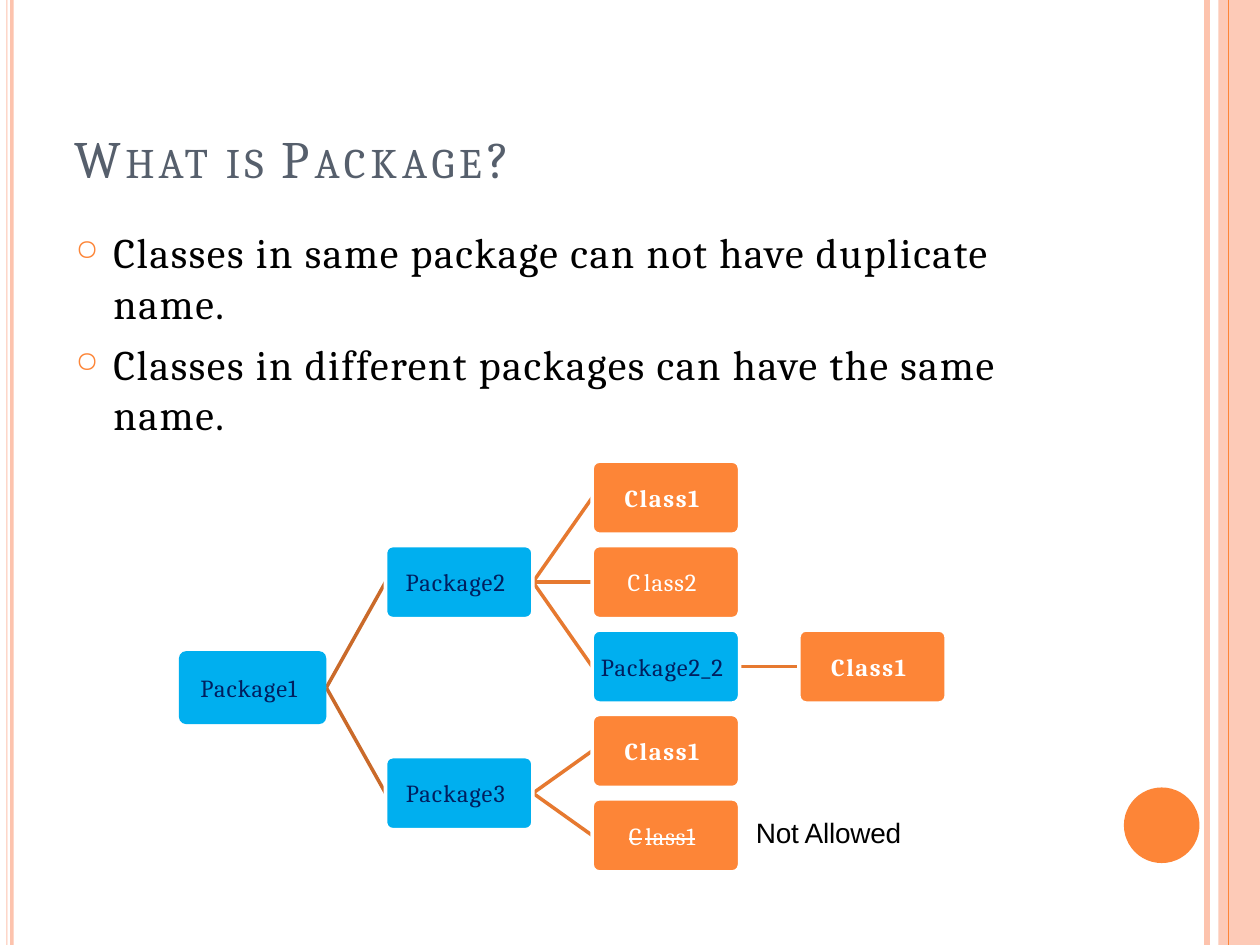
import pptx
import pptx.util
import pptx.dml.color
import pptx.enum.shapes
import pptx.enum.text
import pptx.oxml
import pptx.oxml.ns
import lxml.etree

Inches = pptx.util.Inches
Pt = pptx.util.Pt
rgb = pptx.dml.color.RGBColor.from_string
qn = pptx.oxml.ns.qn
MSO = pptx.enum.shapes.MSO_SHAPE
ANCHOR = pptx.enum.text.MSO_ANCHOR
ALIGN = pptx.enum.text.PP_ALIGN

ORANGE, PEACH, BLUE, NAVY, WHITE = "FD8537", "FDC3AD", "00AFEF", "001F5F", "FFFFFF"

prs = pptx.Presentation()
prs.slide_width, prs.slide_height = Inches(10), Inches(7.5)
s = prs.slides.add_slide(prs.slide_layouts[5])


def add_shape(kind, x, y, w, h, fill):
    sp = s.shapes.add_shape(kind, Inches(x), Inches(y), Inches(w), Inches(h))
    sp.shadow.inherit = False
    sp.fill.solid()
    sp.fill.fore_color.rgb = rgb(fill)
    sp.line.fill.background()
    return sp


def add_runs(p, runs, color, font="Cambria", bold=False, strike=False):
    for text, size, spacing in runs:
        r = p.add_run()
        r.text = text
        r.font.size, r.font.name, r.font.bold = Pt(size), font, bold
        r.font.color.rgb = rgb(color)
        rPr = r._r.get_or_add_rPr()
        rPr.set("spc", str(round(spacing * 100)))
        if strike:
            rPr.set("strike", "sngStrike")


for x, w in [(0.05, 0.01), (0.08, 0.03), (9.67, 0.33)]:
    sp = add_shape(MSO.RECTANGLE, x, 0, w, 7.5, PEACH)
clr = sp.fill._xPr.find(qn("a:solidFill"))[0]
lxml.etree.SubElement(clr, qn("a:alpha")).set("val", "87000")
add_shape(MSO.OVAL, 8.92, 6.25, 0.6, 0.6, ORANGE)

title = s.shapes.title
title.left, title.top, title.width, title.height = Inches(0.59), Inches(0.98), Inches(3.7), Inches(0.53)
body = s.shapes.add_textbox(Inches(0.59), Inches(1.78), Inches(7.75), Inches(1.75))
note = s.shapes.add_textbox(Inches(6), Inches(6.45), Inches(1.3), Inches(0.29))
for sp in (title, body, note):
    tf = sp.text_frame
    tf.margin_left = tf.margin_right = tf.margin_bottom = 0
    tf.margin_top = Inches(0.02)
    tf.word_wrap = True
    tf.auto_size = pptx.enum.text.MSO_AUTO_SIZE.NONE
    tf.vertical_anchor = ANCHOR.TOP
    tf.paragraphs[0].alignment = ALIGN.LEFT

add_runs(title.text_frame.paragraphs[0],
         [("W", 30, 2.4), ("HAT ", 24, 2.4), ("IS ", 24, 2.5),
          ("P", 30, 2.9), ("ACKAGE", 24, 2.9), ("?", 30, 2.9)], "565F6C")
add_runs(note.text_frame.paragraphs[0], [("Not Allowed", 16, -0.1)], "000000", "Arial")

tf = body.text_frame
bullets = ["Classes in same package can not have duplicate name.",
           "Classes in different packages can have the same name."]
for i, text in enumerate(bullets):
    p = tf.add_paragraph() if i else tf.paragraphs[0]
    pPr = p._p.get_or_add_pPr()
    pPr.set("marL", str(Inches(0.31)))
    pPr.set("indent", str(-Inches(0.3)))
    buClr = lxml.etree.SubElement(pPr, qn("a:buClr"))
    lxml.etree.SubElement(buClr, qn("a:srgbClr")).set("val", ORANGE)
    lxml.etree.SubElement(pPr, qn("a:buSzPct")).set("val", "69000")
    lxml.etree.SubElement(pPr, qn("a:buChar")).set("char", "○")
    p.space_before = Pt(6 * i)
    add_runs(p, [(text, 24, 0.9)], "000000")

package = {"fill": BLUE, "color": NAVY}
bold_class = {"fill": ORANGE, "color": WHITE, "bold": True}
plain_class = {"fill": ORANGE, "color": WHITE}
struck_class = {"fill": ORANGE, "color": WHITE, "strike": True}
nodes = [
    ("Package1", 0, 2.25, None, package),
    ("Package2", 1, 1, 0, package),
    ("Package3", 1, 3.5, 0, package),
    ("Class1", 2, 0, 1, bold_class),
    ("Class2", 2, 1, 1, plain_class),
    ("Package2_2", 2, 2, 1, package),
    ("Class1", 2, 3, 2, bold_class),
    ("Class1", 2, 4, 2, struck_class),
    ("Class1", 3, 2, 5, bold_class),
]
NODE_W, NODE_H = 1.17, 0.58
spots = [(1.42 + 1.64 * col, 3.66 + 0.67 * row) for _, col, row, _, _ in nodes]

lines = [(9.58, 0, 9.58, 7.5, PEACH, 3), (9.75, 0, 9.75, 7.5, ORANGE, 0.75)]
for (_, col, _, parent, _), (x, y) in zip(nodes, spots):
    if parent is not None:
        px, py = spots[parent]
        color = "CA6A2A" if col == 1 else "E67930"
        lines.append((px + NODE_W, py + NODE_H / 2, x, y + NODE_H / 2, color, 2))
for x1, y1, x2, y2, color, width in lines:
    c = s.shapes.add_connector(pptx.enum.shapes.MSO_CONNECTOR.STRAIGHT,
                               Inches(x1), Inches(y1), Inches(x2), Inches(y2))
    c.line.color.rgb = rgb(color)
    c.line.width = Pt(width)
    lxml.etree.SubElement(c._element.spPr, qn("a:effectLst"))

for (name, _, _, parent, style), (x, y) in zip(nodes, spots):
    sp = add_shape(MSO.ROUNDED_RECTANGLE, x, y, NODE_W, NODE_H, style["fill"])
    sp.adjustments[0] = 0.1
    if parent is not None:
        sp.line.color.rgb = rgb(WHITE)
        sp.line.width = Pt(2)
    tf = sp.text_frame
    tf.margin_left = tf.margin_top = tf.margin_bottom = 0
    tf.margin_right = Inches(0.06)
    tf.word_wrap = False
    tf.vertical_anchor = ANCHOR.MIDDLE
    p = tf.paragraphs[0]
    p.alignment = ALIGN.CENTER
    bold, strike = style.get("bold", False), style.get("strike", False)
    if style["fill"] == BLUE or bold:
        runs = [(name, 14, 0.9 if bold else 0.6)]
    else:
        runs = [(name[0], 14, 2.1), (name[1:], 14, 0.5)]
    add_runs(p, runs, style["color"], bold=bold, strike=strike)

prs.save("out.pptx")
